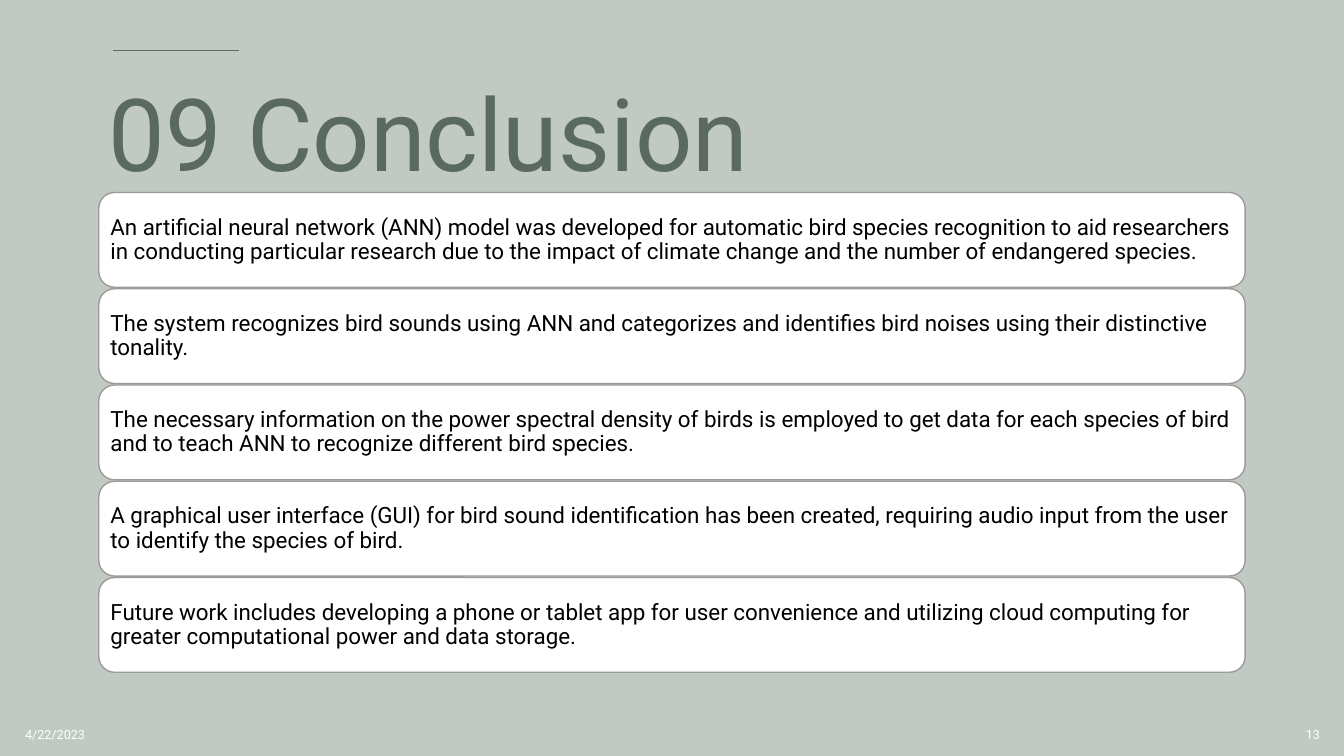
"""Build the conclusion slide with five stacked cards."""
from pptx import Presentation
from pptx.dml.color import RGBColor
from pptx.enum.shapes import MSO_CONNECTOR, MSO_SHAPE
from pptx.enum.text import MSO_ANCHOR, PP_ALIGN
from pptx.oxml.ns import qn
from pptx.util import Inches, Pt
from lxml.etree import SubElement


def color(code):
    return RGBColor.from_string(code)


def write(shape, text, size, code, align=PP_ALIGN.LEFT):
    frame = shape.text_frame
    frame.word_wrap = True
    frame.vertical_anchor = MSO_ANCHOR.MIDDLE
    para = frame.paragraphs[0]
    para.text = text
    para.alignment = align
    para.font.name = "Roboto"
    para.font.size = Pt(size)
    para.font.color.rgb = color(code)
    return para


deck = Presentation()
deck.slide_width, deck.slide_height = Inches(13.33), Inches(7.5)
slide = deck.slides.add_slide(deck.slide_layouts[6])
slide.background.fill.solid()
slide.background.fill.fore_color.rgb = color("C0C9C2")
shapes = slide.shapes

rule = shapes.add_connector(
    MSO_CONNECTOR.STRAIGHT, Inches(1.12), Inches(0.5), Inches(2.37), Inches(0.5))
rule.line.color.rgb = color("5B6A5E")
rule.line.width = Pt(1.25)
SubElement(rule._element.spPr, qn("a:effectLst"))

title = shapes.add_textbox(Inches(0.98), Inches(0.63), Inches(11.11), Inches(1.5))
write(title, "09 Conclusion", 72, "5B6A5E").line_spacing = 0.9

footers = [(0.15, "4/22/2023", PP_ALIGN.LEFT), (10.19, "13", PP_ALIGN.RIGHT)]
for left, text, align in footers:
    box = shapes.add_textbox(Inches(left), Inches(7.09), Inches(3), Inches(0.4))
    write(box, text, 9, "FFFFFF", align)

points = [
    "An artificial neural network (ANN) model was developed for automatic bird species "
    "recognition to aid researchers in conducting particular research due to the impact "
    "of climate change and the number of endangered species.",
    "The system recognizes bird sounds using ANN and categorizes and identifies bird "
    "noises using their distinctive tonality.",
    "The necessary information on the power spectral density of birds is employed to get "
    "data for each species of bird and to teach ANN to recognize different bird species.",
    "A graphical user interface (GUI) for bird sound identification has been created, "
    "requiring audio input from the user to identify the species of bird.",
    "Future work includes developing a phone or tablet app for user convenience and "
    "utilizing cloud computing for greater computational power and data storage.",
]
top, step = Inches(1.91), Inches(0.955)
for row, text in enumerate(points):
    card = shapes.add_shape(
        MSO_SHAPE.ROUNDED_RECTANGLE, Inches(0.98), top + row * step,
        Inches(11.37), Inches(0.94))
    card.shadow.inherit = False
    card.fill.solid()
    card.fill.fore_color.rgb = color("FFFFFF")
    card.line.color.rgb = color("9B9B9B")
    card.line.width = Pt(1)
    frame = card.text_frame
    frame.margin_left = frame.margin_right = Inches(0.07)
    frame.margin_top = frame.margin_bottom = Inches(0.07)
    para = write(card, text, 16, "000000")
    para.line_spacing = 0.9
    para.space_after = Pt(5.6)

deck.save("out.pptx")
